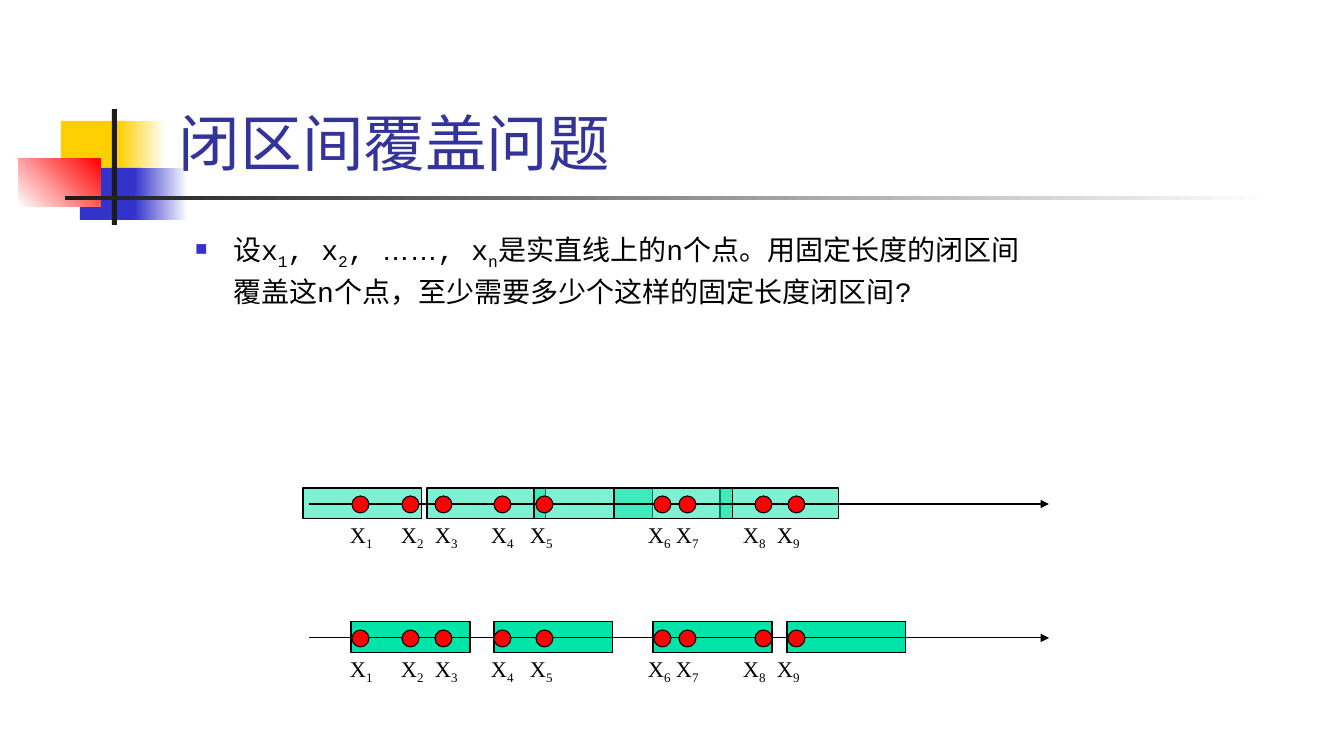
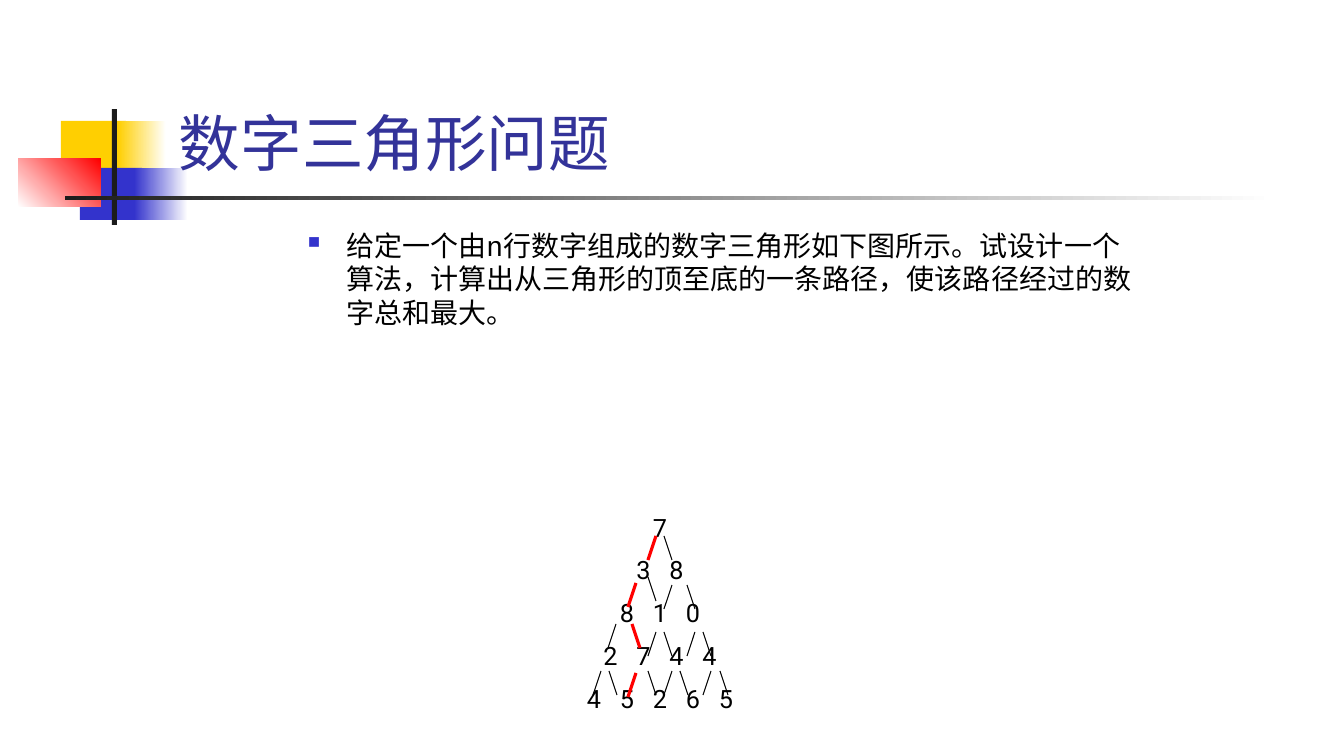
"""Two slides on interval covering and the number triangle."""
import lxml.etree
import pptx
import pptx.dml.color
import pptx.enum.dml
import pptx.enum.shapes
import pptx.enum.text
import pptx.oxml.ns
import pptx.util

RGB = pptx.dml.color.RGBColor
SHAPE = pptx.enum.shapes.MSO_SHAPE
ALIGN = pptx.enum.text.PP_ALIGN
ANCHOR = pptx.enum.text.MSO_ANCHOR
Pt = pptx.util.Pt
qn = pptx.oxml.ns.qn

BLACK = RGB(0, 0, 0)
WHITE = RGB(255, 255, 255)
RED = RGB(255, 0, 0)
YELLOW = RGB(0xFF, 0xCF, 0x01)
BLUE = RGB(0x33, 0x33, 0xCC)
INK = RGB(0x1C, 0x1C, 0x1C)
TITLE = RGB(0x33, 0x33, 0x99)
GREEN = RGB(0x00, 0xE4, 0xA8)
PX = 914400 / 100.8

BANDS = [
    ((61, 121, 65, 52), YELLOW, None, 0),
    ((118, 121, 48, 52), YELLOW, WHITE, 0),
    ((80, 168, 62, 52), BLUE, None, 0),
    ((134, 168, 54, 52), BLUE, WHITE, 0),
    ((18, 159, 83, 48), WHITE, RED, 45),
    ((112, 109, 5, 116), INK, None, 0),
    ((65, 196, 1210, 4), INK, WHITE, 0),
]

COVER_TITLE = "闭区间覆盖问题"
COVER_BODY = [
    ("设x", {}), ("1", {"sub": True}), (", x", {}), ("2", {"sub": True}),
    (", ", {}), ("……", {"font": "Arial"}), (", x", {}), ("n", {"sub": True}),
    ("是实直线上的n个点。用固定长度的闭区间覆盖这n个点，"
     "至少需要多少个这样的固定长度闭区间?", {}),
]
POINTS = [352, 402, 435, 494, 536, 654, 679, 755, 788]
LABELS = [350, 401, 435, 491, 530, 648, 676, 743, 777]
NUMBER_LINES = [
    (488, [720, 303, 427, 534, 614], 50),
    (622, [351, 494, 653, 787], None),
]

TRIANGLE_TITLE = "数字三角形问题"
TRIANGLE_BODY = [
    ("给定一个由n行数字组成的数字三角形如下图所示。试设计一个算法，"
     "计算出从三角形的顶至底的一条路径，使该路径经过的数字总和最大。", {}),
]
TRIANGLE = ["7", "38", "810", "2744", "45265"]
BRANCHES = [
    [(656, 536), (664, 536)],
    [(636, 583), (648, 577), (672, 585), (687, 585)],
    [(616, 624), (632, 624), (656, 632), (664, 632), (695, 632), (703, 632)],
    [(601, 671), (609, 671), (636, 673), (648, 671),
     (672, 671), (680, 671), (711, 671), (720, 671)],
]
BEST_PATH = [0, 0, 1, 2]


def emu(*lengths):
    return [round(v * PX) for v in lengths]


def text(s, box, runs, size=20, font="Courier New", color=BLACK, align=None,
         anchor=ANCHOR.TOP, inset=(0, 0), bullet=False, spacing=None):
    tf = s.shapes.add_textbox(*emu(*box)).text_frame
    tf.word_wrap = True
    tf.vertical_anchor = anchor
    tf.margin_left = tf.margin_right = emu(inset[0])[0]
    tf.margin_top = tf.margin_bottom = emu(inset[1])[0]
    p = tf.paragraphs[0]
    p.alignment = align
    if spacing:
        p.line_spacing = spacing
    if bullet:
        p.space_before = Pt(4)
        pPr = p._p.get_or_add_pPr()
        indent = emu(38)[0]
        pPr.set("marL", str(indent))
        pPr.set("indent", str(-indent))
        clr = lxml.etree.SubElement(pPr, qn("a:buClr"))
        lxml.etree.SubElement(clr, qn("a:srgbClr"), val=str(BLUE))
        lxml.etree.SubElement(pPr, qn("a:buSzPct"), val="60000")
        lxml.etree.SubElement(pPr, qn("a:buChar"), char="■")
    for words, style in runs:
        r = p.add_run()
        r.text = words
        r.font.size = Pt(size)
        r.font.name = style.get("font", font)
        r.font.color.rgb = color
        if style.get("sub"):
            r._r.get_or_add_rPr().set("baseline", "-25000")


def shape(s, kind, box, fill, fade=None, angle=0, alpha=None, outline=False):
    sp = s.shapes.add_shape(kind, *emu(*box))
    sp.shadow.inherit = False
    if fade is not None:
        sp.fill.gradient()
        sp.fill.gradient_angle = angle
        for stop, color in zip(sp.fill.gradient_stops, (fill, fade)):
            stop.color.rgb = color
    else:
        sp.fill.solid()
        sp.fill.fore_color.rgb = fill
    if alpha:
        clr = sp.element.spPr.find(qn("a:solidFill"))[0]
        lxml.etree.SubElement(clr, qn("a:alpha"), val=str(alpha * 1000))
    if outline:
        sp.line.color.rgb = BLACK
        sp.line.width = Pt(0.75)
    else:
        sp.line.fill.background()


def line(s, x1, y1, x2, y2, color=BLACK, width=0.75, arrow=False):
    c = s.shapes.add_connector(
        pptx.enum.shapes.MSO_CONNECTOR.STRAIGHT, *emu(x1, y1, x2, y2))
    c.line.color.rgb = color
    c.line.width = Pt(width)
    if arrow:
        lxml.etree.SubElement(c.line._get_or_add_ln(), qn("a:tailEnd"), type="triangle")
    lxml.etree.SubElement(c._element.spPr, qn("a:effectLst"))


def new_slide(prs, title, body, box, spacing):
    s = prs.slides.add_slide(prs.slide_layouts[6])
    for band, fill, fade, angle in BANDS:
        shape(s, SHAPE.RECTANGLE, band, fill, fade, angle)
    text(s, (169, 23, 1050, 161), [(title, {})], size=44, font="Roboto",
         color=TITLE, anchor=ANCHOR.BOTTOM, inset=(10, 5))
    text(s, box, body, inset=(10, 5), bullet=True, spacing=spacing)
    return s


def number_line(s, top, intervals, alpha):
    for x in intervals:
        shape(s, SHAPE.RECTANGLE, (x, top, 119, 31), GREEN, alpha=alpha, outline=True)
    line(s, 309, top + 16, 1049, top + 16, arrow=True)
    for i, (x, label) in enumerate(zip(POINTS, LABELS), 1):
        shape(s, SHAPE.FLOWCHART_CONNECTOR, (x, top + 8, 17, 17), RED, outline=True)
        text(s, (label, top + 33, 30, 28), [("X", {}), (str(i), {"sub": True})],
             size=16, font="Times New Roman")


def number_triangle(s):
    for row, digits in enumerate(TRIANGLE):
        for col, digit in enumerate(digits):
            x = 660 + 33 * col - 16.5 * row
            text(s, (x - 12, 512 + 42.75 * row, 24, 30), [(digit, {})],
                 size=18, font="Roboto", align=ALIGN.CENTER)
    for branches, best in zip(BRANCHES, BEST_PATH):
        for i, (x, y) in enumerate(branches):
            dx = 8 if i % 2 else -8
            color, width = (RED, 2.25) if i == best else (BLACK, 0.75)
            line(s, x, y, x + dx, y + 24, color, width)


prs = pptx.Presentation()
prs.slide_width, prs.slide_height = emu(1344, 756)

s = new_slide(prs, COVER_TITLE, COVER_BODY, (185, 224, 857, 234), 1.1)
for top, intervals, alpha in NUMBER_LINES:
    number_line(s, top, intervals, alpha)

s = new_slide(prs, TRIANGLE_TITLE, TRIANGLE_BODY, (298, 223, 857, 281), 1.0)
number_triangle(s)

prs.save("out.pptx")
